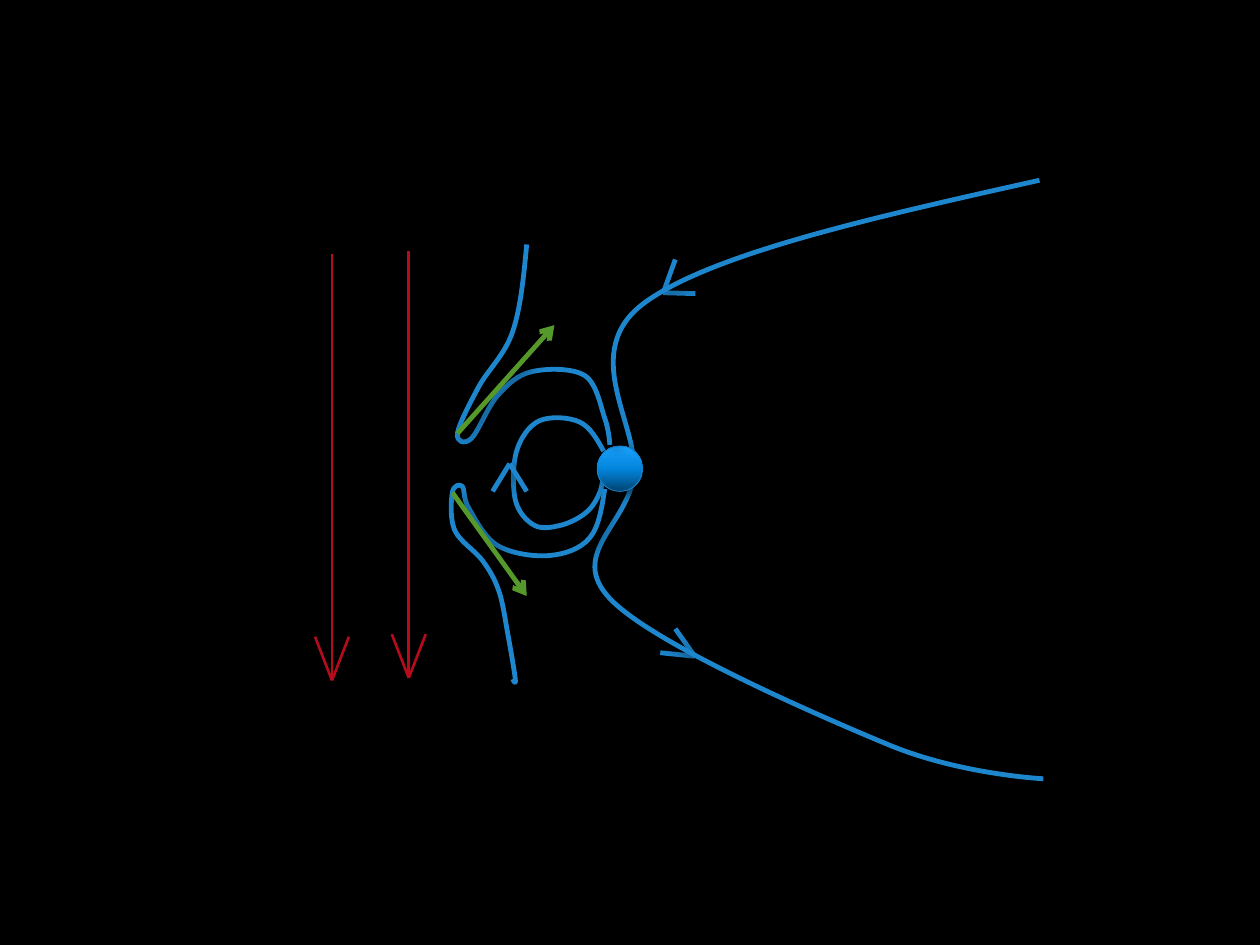
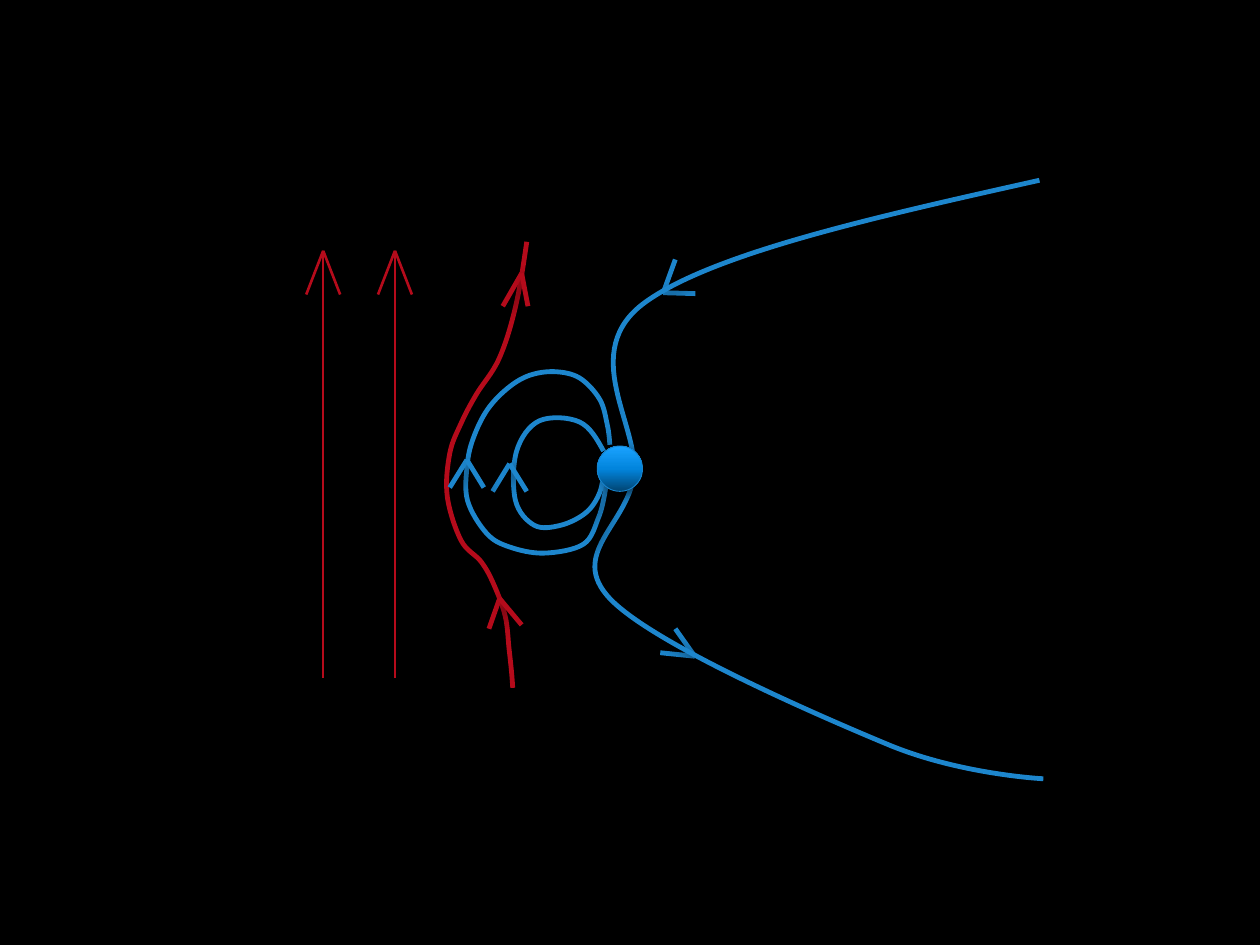
"""Draw two slides of planetary field lines meeting the stellar wind."""
from dataclasses import dataclass

import pptx
import pptx.dml.color
import pptx.enum.shapes
import pptx.oxml
import pptx.oxml.ns
import pptx.util
from lxml import etree

Pt = pptx.util.Pt
Point = tuple[float, float]
BLUE, RED, GREEN, RIM, BLACK = "1D86CD", "B50B1B", "55992B", "1884CD", "000000"
GLOW = ((0, "014573"), (50, "0285DD"), (100, "1AA3FF"))


@dataclass(frozen=True)
class Pen:
    """Line colour, width in points, and whether it casts a shadow."""
    tint: str
    width: float = 2.75
    shade: bool = True


@dataclass(frozen=True)
class Barb:
    """Open arrowhead: a tip and the ends of its two strokes."""
    tip: Point
    left: Point
    right: Point


@dataclass(frozen=True)
class Flow:
    """Upright wind arrow at x, running from start to end."""
    x: float
    start: float
    end: float


FIELD, WIND, FORCE = Pen(BLUE), Pen(RED), Pen(GREEN)
THIN = Pen(RED, 1.5, False)

TAIL = [(594, 103), (368.6, 172.8), (362.2, 271.4), (348.5, 342),
        (507.6, 425.5), (596.2, 445)]
INNER = [(344.9, 257.8), (331.2, 241.2), (308.2, 240.5), (295.2, 257.8),
         (294.5, 285.8), (305.3, 300.2), (320.4, 300.2), (334.8, 293),
         (342.7, 281.5), (345.6, 266.4)]
OUTER = [(348.5, 254.2), (347, 242.6), (342.7, 228.2), (331.2, 216),
         (316.8, 212.4), (302.4, 214.6), (290.2, 221.8), (278.6, 234),
         (270.7, 249.8), (267.1, 265), (267.1, 285.8), (277.9, 304.6),
         (290.9, 312.5), (311, 316.1), (333.4, 311), (342, 295.9),
         (345.6, 282.2), (346.3, 275.8)]
NORTH = [(301, 139.7), (293, 189.4), (273.6, 221), (261.4, 247.7),
         (269.3, 250.6), (284.4, 226.1), (303.8, 212.4), (334.1, 214.6),
         (345.6, 239), (348.5, 254.2)]
SOUTH = [(345.6, 279.4), (337, 307.4), (313.9, 317.5), (284.4, 311.8),
         (267.8, 290.2), (264.2, 277.9), (258.5, 281.5), (259.9, 303.1),
         (275.8, 320.4), (285.1, 337.7), (290.2, 362.2), (294.5, 388.1),
         (293, 388.1)]
DRAPED = [(301, 138.2), (294.5, 175.7), (285.1, 205.2), (272.2, 225.4),
          (263.5, 241.9), (257, 259.2), (255.6, 283.7), (263.5, 308.9),
          (275, 321.1), (282.2, 334.1), (288.7, 352.1), (290.9, 370.8),
          (292.3, 383.8), (293, 393.1)]

TAIL_BARBS = [Barb((397, 375), (377.3, 373), (385.9, 359.3)),
              Barb((379, 167.3), (385.9, 148.3), (397.4, 167.8))]
INNER_BARB = Barb((291.2, 265), (281.5, 280.8), (301, 280.8))
OUTER_BARB = Barb((266.8, 262.8), (257, 278.6), (276.5, 278.6))
WIND_BARBS = [Barb((298.1, 156.2), (287.3, 175), (301.7, 175)),
              Barb((285.5, 342), (279.4, 359.3), (298.1, 357.1))]
PULLS = [((261.4, 247.7), (316.8, 185.8)), ((258.5, 281.5), (301, 340.6))]
DOWN = [Flow(233.6, 143.3, 387.4), Flow(189.7, 145.4, 388.8)]
UP = [Flow(225.7, 387.4, 143.3), Flow(184.7, 387.4, 143.3)]


def paint(tint: str) -> pptx.dml.color.RGBColor:
    """Turn a hex string into a colour."""
    return pptx.dml.color.RGBColor.from_string(tint)


def add(parent, tag: str, **attrs):
    """Append a DrawingML element to its parent."""
    node = etree.SubElement(parent, pptx.oxml.ns.qn("a:" + tag))
    for key, value in attrs.items():
        node.set(key, str(value))
    return node


def ink(shape, pen: Pen) -> None:
    """Set the line and the shadow of a shape or connector."""
    shape.line.color.rgb = paint(pen.tint)
    shape.line.width = Pt(pen.width)
    effects = add(shape.element.spPr, "effectLst")
    if pen.shade:
        drop = add(effects, "outerShdw", blurRad=Pt(7), dist=Pt(4),
                   dir=35 * 60000, algn="ctr", rotWithShape=0)
        add(add(drop, "srgbClr", val=BLACK), "alpha", val=55000)


def stroke(shapes, start: Point, end: Point, pen: Pen):
    """Draw one straight line."""
    line = shapes.add_connector(
        pptx.enum.shapes.MSO_CONNECTOR.STRAIGHT, *map(Pt, start + end))
    ink(line, pen)
    return line


def point(shapes, barb: Barb, pen: Pen) -> None:
    """Draw an open arrowhead."""
    for end in (barb.left, barb.right):
        stroke(shapes, barb.tip, end, pen)


def blow(shapes, flow: Flow) -> None:
    """Draw a grouped wind arrow."""
    group = shapes.add_group_shape().shapes
    stroke(group, (flow.x, flow.start), (flow.x, flow.end), THIN)
    back = flow.end + (25 if flow.start > flow.end else -25)
    point(group, Barb((flow.x, flow.end), (flow.x - 9.7, back),
                      (flow.x + 9.7, back)), THIN)


def pull(shapes, start: Point, end: Point) -> None:
    """Draw a force arrow."""
    line = stroke(shapes, start, end, FORCE)
    add(line.line._get_or_add_ln(), "tailEnd", type="arrow")


def blend(a: Point, b: Point, c: Point, d: Point, t: float) -> Point:
    """Find the place at t on a cubic curve."""
    s = 1 - t
    return tuple(s**3 * p + 3 * s * s * t * q + 3 * s * t * t * r + t**3 * u
                 for p, q, r, u in zip(a, b, c, d))


def bend(knots: list[Point]) -> list[tuple[Point, Point, Point, Point]]:
    """Join knots by cubics whose tangents follow their neighbours."""
    last = len(knots) - 1
    slopes = [tuple((q - p) / 6 for p, q in zip(knots[i - 1], knots[i + 1]))
              for i in range(1, last)]
    before = [tuple(p - s for p, s in zip(knot, slope))
              for knot, slope in zip(knots[1:], slopes)] + [knots[last]]
    first = tuple((p + q) / 2 for p, q in zip(knots[0], before[0]))
    after = [first] + [tuple(p + s for p, s in zip(knot, slope))
                       for knot, slope in zip(knots[1:], slopes)]
    return list(zip(knots, after, before, knots[1:]))


def curve(shapes, knots: list[Point], pen: Pen) -> None:
    """Draw a smooth open curve through the knots."""
    parts = bend(knots)
    trace = [blend(*part, step / 12) for part in parts for step in range(1, 13)]
    maker = shapes.build_freeform(*map(Pt, knots[0]))
    maker.add_line_segments([tuple(map(Pt, spot)) for spot in trace], close=False)
    shape = maker.convert_to_shape()
    shape.fill.background()
    ink(shape, pen)
    route = shape.element.xpath(".//a:path")[0]
    for child in list(route)[1:]:
        route.remove(child)
    for part in parts:
        cubic = add(route, "cubicBezTo")
        for x, y in part[1:]:
            add(cubic, "pt", x=Pt(x) - shape.left, y=Pt(y) - shape.top)


def globe(shapes) -> None:
    """Draw the shaded planet."""
    ball = shapes.add_shape(pptx.enum.shapes.MSO_SHAPE.OVAL,
                            Pt(341.3), Pt(254.9), Pt(25.9), Pt(25.9))
    ink(ball, Pen(RIM, 0.5))
    props = ball.element.spPr
    fill = add(props, "gradFill", rotWithShape=1)
    stops = add(fill, "gsLst")
    for place, tint in GLOW:
        add(add(stops, "gs", pos=place * 1000), "srgbClr", val=tint)
    add(fill, "lin", ang=270 * 60000, scaled=0)
    props.find(pptx.oxml.ns.qn("a:prstGeom")).addnext(fill)


def tail(shapes) -> None:
    """Draw the long field line behind the planet."""
    group = shapes.add_group_shape().shapes
    point(group, TAIL_BARBS[0], FIELD)
    point(shapes, TAIL_BARBS[1], FIELD)
    curve(shapes, TAIL, FIELD)


def core(shapes) -> None:
    """Draw the inner loop, the planet and the loop's arrowhead."""
    curve(shapes, INNER, FIELD)
    globe(shapes)
    point(shapes, INNER_BARB, FIELD)


def merge(shapes) -> None:
    """Draw the slide where the field joins a southward wind."""
    tail(shapes)
    core(shapes)
    blow(shapes, DOWN[0])
    curve(shapes, NORTH, FIELD)
    curve(shapes, SOUTH, FIELD)
    for start, end in PULLS:
        pull(shapes, start, end)
    blow(shapes, DOWN[1])


def drape(shapes) -> None:
    """Draw the slide where a northward wind drapes round the field."""
    tail(shapes)
    group = shapes.add_group_shape().shapes
    curve(group, DRAPED, WIND)
    for barb in WIND_BARBS:
        point(group, barb, WIND)
    curve(shapes, OUTER, FIELD)
    core(shapes)
    point(shapes.add_group_shape().shapes, OUTER_BARB, FIELD)
    for flow in UP:
        blow(shapes, flow)


def main() -> None:
    """Build and save the deck."""
    deck = pptx.Presentation()
    deck.slide_width, deck.slide_height = Pt(720), Pt(540)
    ground = deck.slide_master.background.fill
    ground.solid()
    ground.fore_color.rgb = paint(BLACK)
    for draw in (merge, drape):
        draw(deck.slides.add_slide(deck.slide_layouts[6]).shapes)
    deck.save("out.pptx")


if __name__ == "__main__":
    main()
